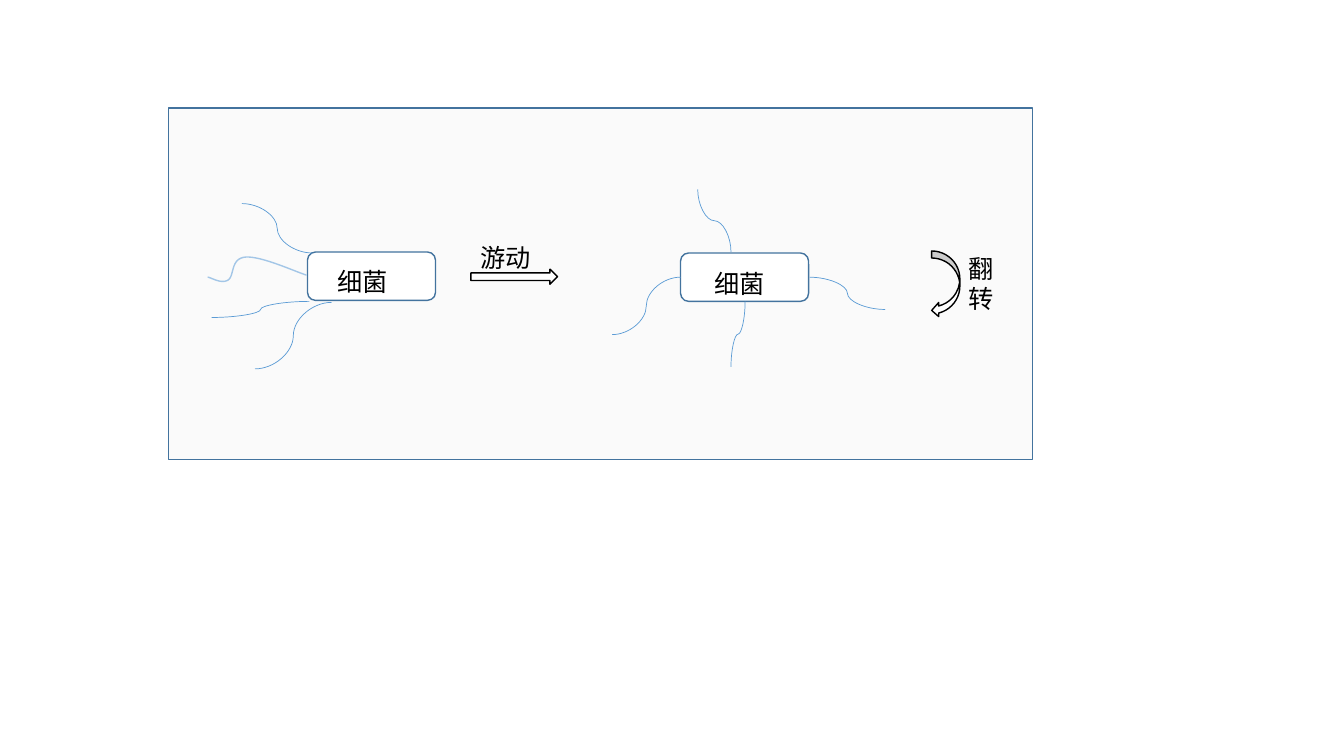
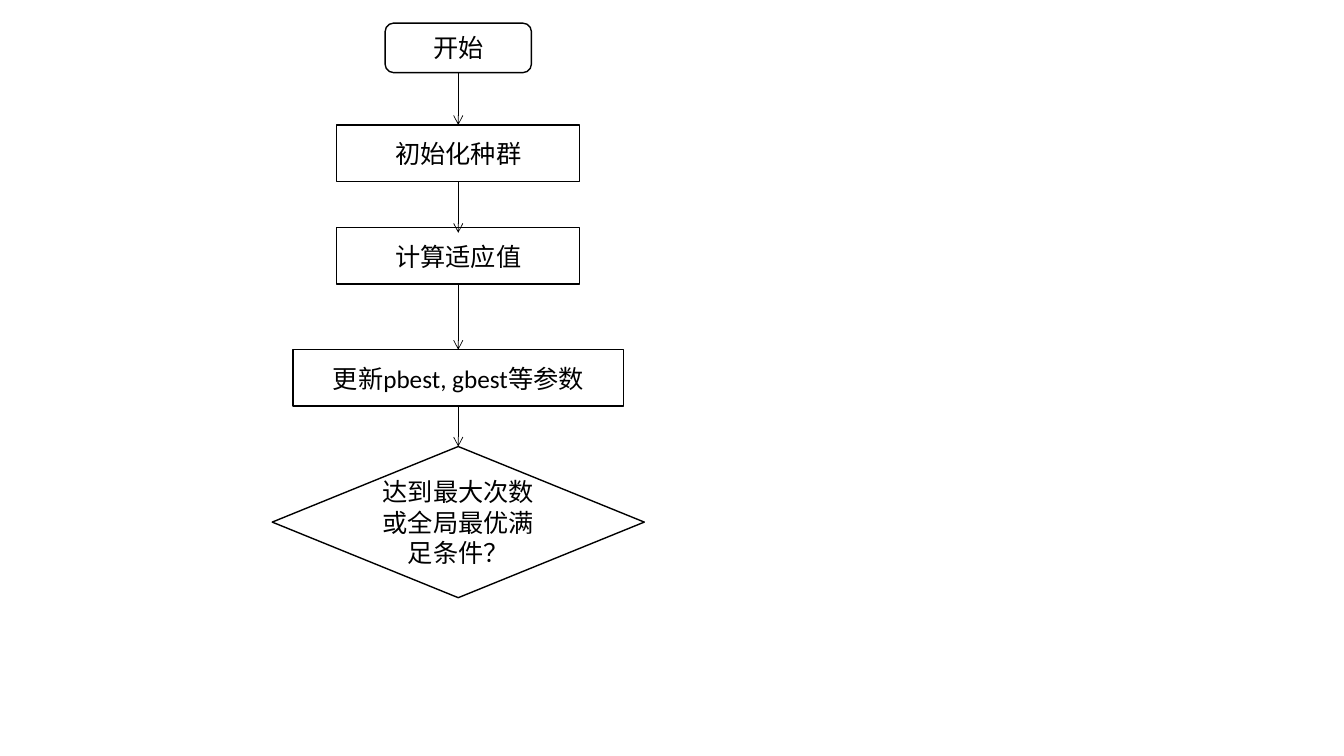
from lxml import etree
from pptx import Presentation
from pptx.dml.color import RGBColor
from pptx.enum.shapes import MSO_CONNECTOR, MSO_SHAPE
from pptx.enum.text import MSO_ANCHOR, MSO_AUTO_SIZE, PP_ALIGN
from pptx.oxml.ns import qn
from pptx.util import Inches, Pt

RECT, ROUND = MSO_SHAPE.RECTANGLE, MSO_SHAPE.ROUNDED_RECTANGLE
DIAMOND = MSO_SHAPE.DIAMOND
RIGHT, TURN = MSO_SHAPE.RIGHT_ARROW, MSO_SHAPE.CURVED_LEFT_ARROW
CURVE, STRAIGHT = MSO_CONNECTOR.CURVE, MSO_CONNECTOR.STRAIGHT
CENTER, MIDDLE = PP_ALIGN.CENTER, MSO_ANCHOR.MIDDLE
GROW = MSO_AUTO_SIZE.SHAPE_TO_FIT_TEXT

COLORS = {"panel": "E7E6E6", "edge": "43739E", "tail": "5B9BD5",
          "wave": "9DC3E6", "white": "FFFFFF", "ink": "000000"}
FONT = {"name": "Calibri", "size": Pt(18)}
NODE = {"word_wrap": True, "vertical_anchor": MIDDLE}
LABEL = {"word_wrap": True, "auto_size": GROW}


# Shared helpers
def rgb(key):
    return RGBColor.from_string(COLORS[key])


def apply(target, form):
    for key, value in form.items():
        setattr(target, key, value)


def stroke(item, color, width):
    item.line.color.rgb = rgb(color)
    item.line.width = Pt(width)


def fade(item, route, percent):
    """Set the opacity of the solid fill found at route."""
    names = route + ["a:solidFill", "a:srgbClr"]
    color = item._element.spPr.find("/".join(qn(n) for n in names))
    etree.SubElement(color, qn("a:alpha")).set("val", str(percent * 1000))


def write(item, text, frame, align=None):
    apply(item.text_frame, frame)
    part = item.text_frame.paragraphs[0]
    part.alignment = align
    run = part.add_run()
    run.text = text
    apply(run.font, FONT)
    run.font.color.rgb = rgb("ink")


def shape(slide, kind, box, edge="ink", fill="white"):
    item = slide.shapes.add_shape(kind, *map(Inches, box))
    item.shadow.inherit = False
    item.fill.solid()
    item.fill.fore_color.rgb = rgb(fill)
    stroke(item, edge, 1)
    return item


def label(slide, text, box):
    write(slide.shapes.add_textbox(*map(Inches, box)), text, LABEL)


def link(slide, kind, start, end, color):
    item = slide.shapes.add_connector(kind, *map(Inches, start + end))
    stroke(item, color, 0.5)
    etree.SubElement(item._element.spPr, qn("a:effectLst"))
    return item


# Bacteria slide
def tail(slide, start, end, upright):
    """Draw an S curve; an upright one leaves its start vertically."""
    if not upright:
        link(slide, CURVE, start, end, "tail")
        return
    (x1, y1), (x2, y2) = start, end
    sign = 1 if y2 > y1 else -1
    mid_x, mid_y = (x1 + x2) / 2, (y1 + y2) / 2
    half_w, half_h = sign * (y2 - y1) / 2, sign * (x1 - x2) / 2
    item = link(slide, CURVE, (mid_x - half_w, mid_y - half_h),
                (mid_x + half_w, mid_y + half_h), "tail")
    xfrm = item._element.spPr.find(qn("a:xfrm"))
    xfrm.set("rot", str(sign * 90 % 360 * 60000))


def bezier(a, b, c, d, steps=16):
    for i in range(1, steps + 1):
        t = i / steps
        u = 1 - t
        yield tuple(u**3 * p + 3 * u * u * t * q + 3 * u * t * t * r + t**3 * s
                    for p, q, r, s in zip(a, b, c, d))


def wave(slide, left, top, knots):
    knots = [(Inches(left + x), Inches(top + y)) for x, y in knots]
    dots = [dot for i in range(0, len(knots) - 1, 3)
            for dot in bezier(*knots[i:i + 4])]
    pen = slide.shapes.build_freeform(*knots[0])
    pen.add_line_segments(dots, close=False)
    item = pen.convert_to_shape()
    item.shadow.inherit = False
    item.fill.background()
    stroke(item, "wave", 1)
    fade(item, ["a:ln"], 92)


def cell(slide, left, top, tails, inset, knots=None):
    shape(slide, ROUND, (left, top, 1.27, 0.48), "edge")
    for start, end, upright in tails:
        tail(slide, (left + start[0], top + start[1]),
             (left + end[0], top + end[1]), upright)
    if knots:
        wave(slide, left, top, knots)
    label(slide, "细菌", (left + inset[0], top + inset[1], 0.93, 0.4))


SWIM = [((0.05, 0.01), (-0.65, -0.48), False),
        ((0.02, 0.49), (-0.95, 0.65), False),
        ((0.24, 0.5), (-0.52, 1.16), False)]
TUMBLE = [((0.5, -0.01), (0.17, -0.63), True),
          ((0, 0.24), (-0.68, 0.81), False),
          ((0.64, 0.48), (0.5, 1.13), True),
          ((1.28, 0.24), (2.03, 0.56), False)]
KNOTS = [(-0.01, 0.23), (-0.13, 0.19), (-0.46, 0.04), (-0.61, 0.05),
         (-0.77, 0.06), (-0.72, 0.24), (-0.79, 0.28),
         (-0.86, 0.32), (-0.96, 0.25), (-0.99, 0.25)]


def motion(slide, box):
    left, top = box[:2]
    panel = shape(slide, RECT, box, "edge", "panel")
    fade(panel, [], 20)
    cell(slide, left + 1.38, top + 1.43, SWIM, (0.2, 0.09), KNOTS)
    cell(slide, left + 5.08, top + 1.44, TUMBLE, (0.24, 0.1))
    # Arrows and their labels
    shape(slide, RIGHT, (left + 3, top + 1.6, 0.86, 0.15))
    shape(slide, TURN, (left + 7.57, top + 1.42, 0.28, 0.66))
    label(slide, "游动", (left + 3, top + 1.28, 0.72, 0.4))
    label(slide, "翻转", (left + 7.84, top + 1.39, 0.32, 0.71))


# Flow chart slide: kind, text, top, width, height, arrow length
STEPS = [(ROUND, "开始", 0, 1.45, 0.49, 0.52),
         (RECT, "初始化种群", 1.01, 2.41, 0.56, 0.51),
         (RECT, "计算适应值", 2.03, 2.41, 0.56, 0.65),
         (RECT, "更新pbest, gbest等参数", 3.24, 3.28, 0.56, 0.4),
         (DIAMOND, "达到最大次数或全局最优满足条件？", 4.2, 3.69, 1.5, 0)]


def flow(slide, box):
    left, top, width = box[:3]
    mid = left + width / 2
    for kind, text, drop, wide, high, _ in STEPS:
        item = shape(slide, kind, (mid - wide / 2, top + drop, wide, high))
        write(item, text, NODE, CENTER)
    for _, _, drop, _, high, reach in STEPS[:-1]:
        foot = top + drop + high
        item = link(slide, STRAIGHT, (mid, foot), (mid, foot + reach), "ink")
        line = item._element.spPr.find(qn("a:ln"))
        etree.SubElement(line, qn("a:tailEnd")).set("type", "arrow")


deck = Presentation()
deck.slide_width, deck.slide_height = Inches(13.33), Inches(7.5)
blank = deck.slide_layouts[6]
motion(deck.slides.add_slide(blank), (1.67, 1.07, 8.57, 3.49))
flow(deck.slides.add_slide(blank), (2.7, 0.23, 3.69, 5.7))
deck.save("out.pptx")
